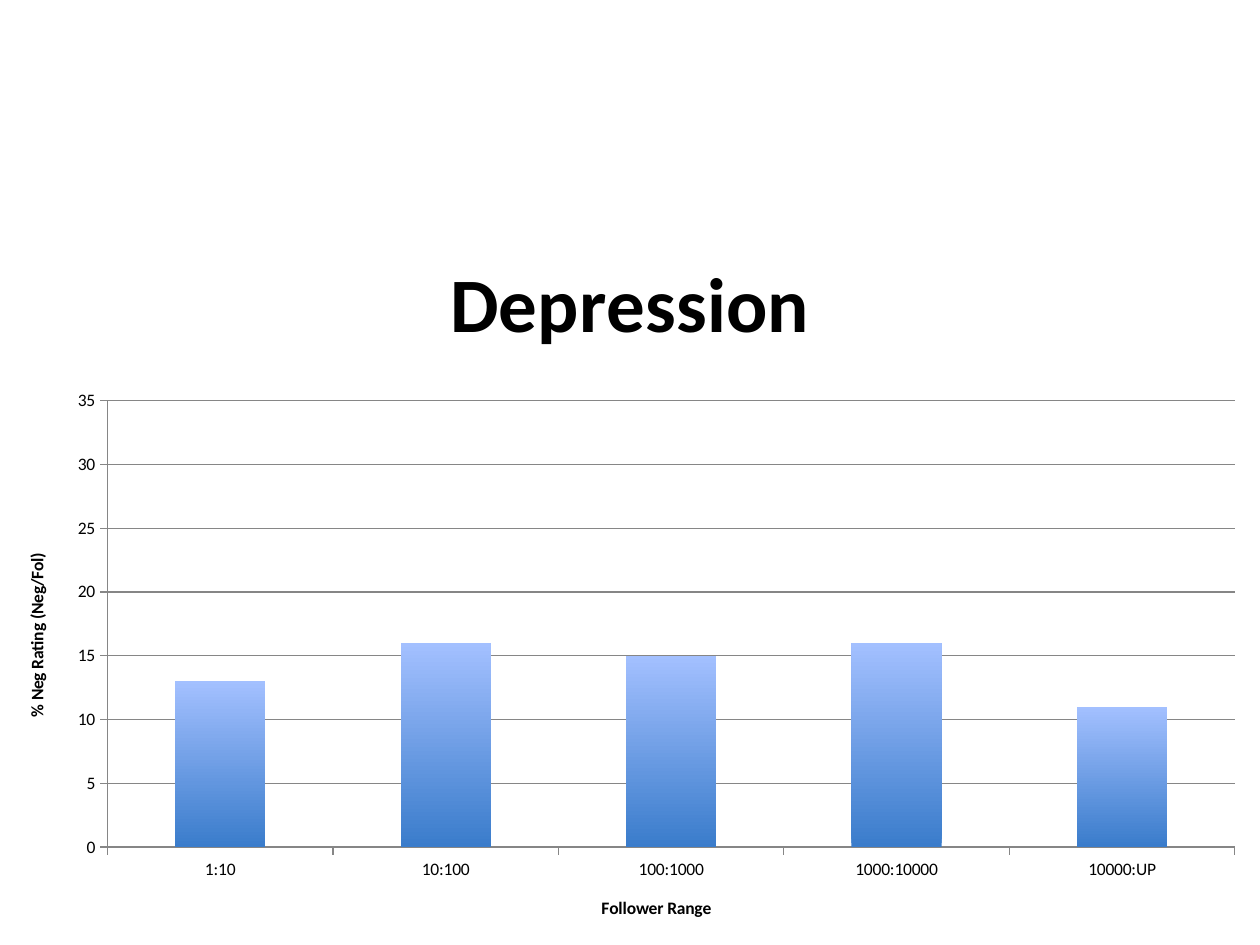
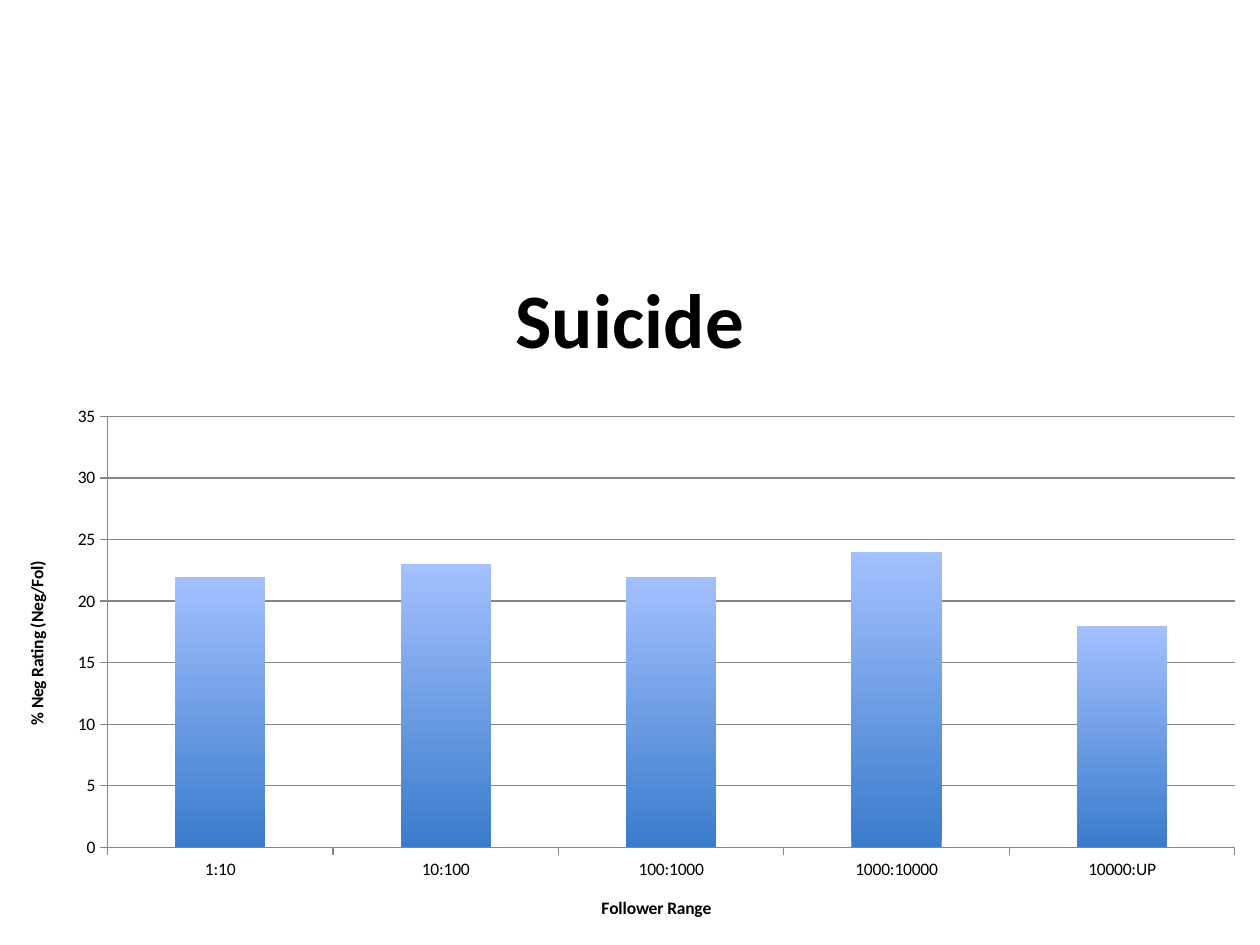
from pptx import Presentation
from pptx.chart.data import CategoryChartData
from pptx.dml.color import RGBColor
from pptx.enum import chart as ch
from pptx.util import Inches, Pt

BLACK = RGBColor(0x00, 0x00, 0x00)
GRAY = RGBColor(0x86, 0x86, 0x86)
BAR_BOTTOM = RGBColor(0x3A, 0x7C, 0xCB)
BAR_TOP = RGBColor(0xA3, 0xC0, 0xFF)
FONT = "Calibri"
SLIDE_W, SLIDE_H = 10, 7.5
RANGES = ["1:10", "10:100", "100:1000", "1000:10000", "10000:UP"]
TOPICS = [
    ("Depression", 1.7, [13, 16, 15, 16, 11]),
    ("Suicide", 1.83, [22, 23, 22, 24, 18]),
]


def set_font(font, size, bold=False):
    font.name = FONT
    font.size = Pt(size)
    font.bold = bold
    font.color.rgb = BLACK


def add_title(owner, words, size):
    p = owner.text_frame.paragraphs[0]
    r = p.add_run()
    r.text = words
    set_font(r.font, size, True)


def style_line(line):
    line.color.rgb = GRAY
    line.width = Pt(0.75)


def style_axis(axis, words):
    add_title(axis.axis_title, words, 10)
    axis.major_tick_mark = ch.XL_TICK_MARK.OUTSIDE
    axis.minor_tick_mark = ch.XL_TICK_MARK.NONE
    set_font(axis.tick_labels.font, 10)
    style_line(axis.format.line)


def fill_bars(plot):
    plot.gap_width = 150
    plot.vary_by_categories = False
    fill = plot.series[0].format.fill
    fill.gradient()
    fill.gradient_angle = 90
    for stop, color in zip(fill.gradient_stops, (BAR_BOTTOM, BAR_TOP)):
        stop.color.rgb = color


def add_rating_chart(s, topic, ratings, left, top, width, height):
    data = CategoryChartData(number_format="0")
    data.categories = RANGES
    data.add_series("Series 1", ratings)
    chart = s.shapes.add_chart(
        ch.XL_CHART_TYPE.COLUMN_CLUSTERED,
        Inches(left), Inches(top), Inches(width), Inches(height), data,
    ).chart
    set_font(chart.font, 10)
    chart.has_legend = False
    add_title(chart.chart_title, topic, 44)
    chart.chart_title.include_in_layout = False

    style_axis(chart.category_axis, "Follower Range")
    axis = chart.value_axis
    style_axis(axis, "% Neg Rating (Neg/Fol)")
    axis.minimum_scale = 0
    axis.maximum_scale = 35
    axis.major_unit = 5
    axis.has_major_gridlines = True
    style_line(axis.major_gridlines.format.line)
    axis.tick_labels.number_format = "0"
    axis.tick_labels.number_format_is_linked = False
    fill_bars(chart.plots[0])


def main():
    prs = Presentation()
    prs.slide_width = Inches(SLIDE_W)
    prs.slide_height = Inches(SLIDE_H)
    for topic, top, ratings in TOPICS:
        s = prs.slides.add_slide(prs.slide_layouts[6])
        add_rating_chart(s, topic, ratings, 0, top, SLIDE_W, SLIDE_H - top)
    prs.save("out.pptx")


if __name__ == "__main__":
    main()
